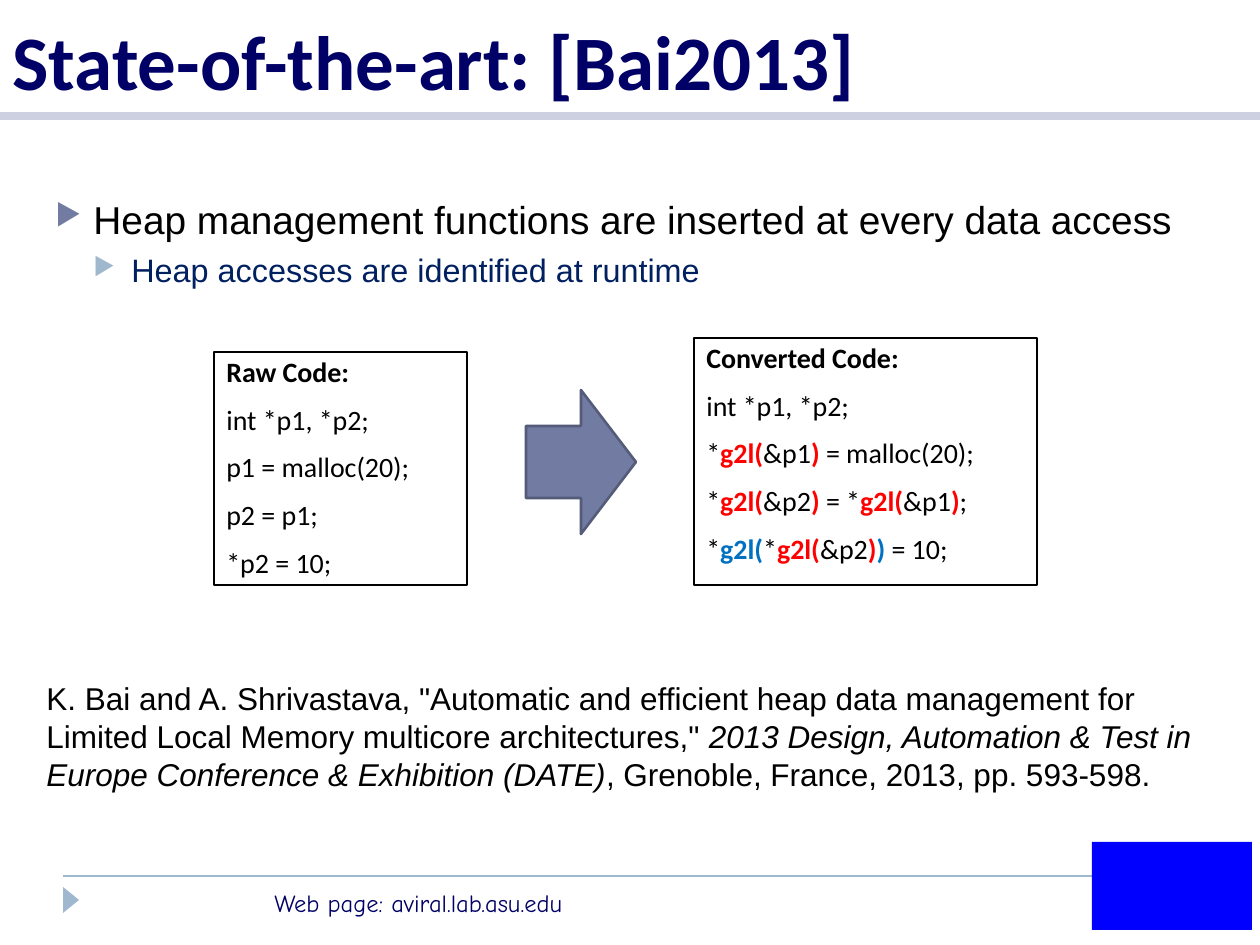
from dataclasses import dataclass

from lxml import etree
from pptx import Presentation
from pptx.dml.color import RGBColor
from pptx.enum.shapes import MSO_CONNECTOR, MSO_SHAPE
from pptx.enum.text import MSO_ANCHOR, MSO_AUTO_SIZE, PP_ALIGN
from pptx.oxml.ns import qn
from pptx.util import Pt

LINE = MSO_CONNECTOR.STRAIGHT
RECT = MSO_SHAPE.RECTANGLE
ARROW = MSO_SHAPE.RIGHT_ARROW
WEDGE = MSO_SHAPE.ISOSCELES_TRIANGLE
TOP = MSO_ANCHOR.TOP
BOTTOM = MSO_ANCHOR.BOTTOM
LEFT = PP_ALIGN.LEFT
FIXED = MSO_AUTO_SIZE.NONE

SCALE = 914400 / 126
BLACK, NAVY, RED, BLUE = "000000", "000066", "FF0000", "0070C0"
SLATE, MIST = "727CA3", "9FB8CD"
STEP = 38  # indent of one bullet level


@dataclass
class Box:
    x: int
    y: int
    w: int
    h: int


@dataclass
class Style:
    font: str
    size: float
    color: str = BLACK
    bold: bool = False


@dataclass
class Run:
    text: str
    color: str = ""
    bold: bool = False
    italic: bool = False


@dataclass
class Code:
    box: Box
    head: str
    lines: list[list[Run]]


@dataclass
class Point:
    text: str
    style: Style
    mark: str
    gap: int


def px(n: float) -> int:
    return round(n * SCALE)


def rgb(color: str) -> RGBColor:
    return RGBColor.from_string(color)


def area(box: Box) -> list[int]:
    return [px(n) for n in (box.x, box.y, box.w, box.h)]


def set_font(para, style: Style) -> None:
    font = para.font
    font.name, font.size, font.bold = style.font, Pt(style.size), style.bold
    font.color.rgb = rgb(style.color)


def add_runs(para, runs: list[Run]) -> None:
    for item in runs:
        run = para.add_run()
        run.text = item.text
        if item.color:
            run.font.color.rgb = rgb(item.color)
        if item.bold:
            run.font.bold = True
        if item.italic:
            run.font.italic = True


def next_para(frame, index: int):
    return frame.add_paragraph() if index else frame.paragraphs[0]


def add_line(slide, x1: int, y1: int, x2: int, color: str, width: float) -> None:
    line = slide.shapes.add_connector(LINE, px(x1), px(y1), px(x2), px(y1))
    line.line.color.rgb = rgb(color)
    line.line.width = Pt(width)
    etree.SubElement(line._element.spPr, qn("a:effectLst"))


def add_form(slide, kind, box: Box, fill: str = "", edge: str = "", width: float = 1):
    form = slide.shapes.add_shape(kind, *area(box))
    form.shadow.inherit = False
    if fill:
        form.fill.solid()
        form.fill.fore_color.rgb = rgb(fill)
    else:
        form.fill.background()
    if edge:
        form.line.color.rgb = rgb(edge)
        form.line.width = Pt(width)
    else:
        form.line.fill.background()
    return form


def add_text(slide, box: Box):
    frame = slide.shapes.add_textbox(*area(box)).text_frame
    frame.word_wrap = True
    return frame


def add_bullet(para, level: int, color: str) -> None:
    props = para._p.get_or_add_pPr()
    props.set("marL", str(px(STEP * (level + 1))))
    props.set("indent", str(-px(STEP)))
    tint = etree.SubElement(props, qn("a:buClr"))
    etree.SubElement(tint, qn("a:srgbClr"), val=color)
    etree.SubElement(props, qn("a:buSzPct"), val="76000")
    etree.SubElement(props, qn("a:buChar"), char="▶")


def add_points(slide, box: Box, points: list[Point]) -> None:
    frame = add_text(slide, box)
    for level, point in enumerate(points):
        para = next_para(frame, level)
        para.level = level
        add_bullet(para, level, point.mark)
        para.space_before = Pt(point.gap)
        set_font(para, point.style)
        add_runs(para, [Run(point.text)])


def add_code(slide, code: Code) -> None:
    frame = add_form(slide, RECT, code.box, edge=BLACK, width=0.75).text_frame
    frame.word_wrap = True
    frame.vertical_anchor = TOP
    for index, runs in enumerate([[Run(code.head)], *code.lines]):
        para = next_para(frame, index)
        para.alignment = LEFT
        para.line_spacing = 0.9
        para.space_before = Pt(10 if index else 0)
        set_font(para, Style("Calibri", 16, bold=index == 0))
        add_runs(para, runs)


def g2l(inner: list[Run], color: str = RED) -> list[Run]:
    return [Run("*"), Run("g2l(", color, True), *inner, Run(")", color, True)]


def main() -> None:
    deck = Presentation()
    deck.slide_width, deck.slide_height = px(1260), px(945)
    slide = deck.slides.add_slide(deck.slide_layouts[5])

    # Title and rule
    title = slide.shapes.title
    title.left, title.top, title.width, title.height = area(Box(0, 0, 1260, 112))
    frame = title.text_frame
    frame.text = "State-of-the-art: [Bai2013]"
    frame.vertical_anchor, frame.auto_size = BOTTOM, FIXED
    frame.paragraphs[0].alignment = LEFT
    set_font(frame.paragraphs[0], Style("Calibri", 44, NAVY, True))
    add_line(slide, 0, 116, 1260, "CCD0E0", 5)

    # Footer, with a plain block for the emblem
    add_line(slide, 63, 876, 1092, MIST, 1)
    add_form(slide, WEDGE, Box(58, 892, 26, 16), MIST).rotation = 90
    para = add_text(slide, Box(262, 882, 473, 43)).paragraphs[0]
    set_font(para, Style("Comic Neue", 14, NAVY))
    add_runs(para, [Run("Web page: aviral.lab.asu.edu")])
    add_form(slide, RECT, Box(1092, 842, 160, 88), "0000FF")

    # Bullets
    add_points(slide, Box(43, 189, 1166, 134), [
        Point("Heap management functions are inserted at every data access",
              Style("Arial", 22.2), SLATE, 0),
        Point("Heap accesses are identified at runtime",
              Style("Arial", 18.5, "002060"), MIST, 5),
    ])

    # Code before and after
    first = [Run("int *p1, *p2;")]
    p1, p2 = g2l([Run("&p1")]), g2l([Run("&p2")])
    raw = ["p1 = malloc(20);", "p2 = p1;", "*p2 = 10;"]
    add_code(slide, Code(Box(214, 352, 253, 233), "Raw Code:",
                         [first, *([Run(text)] for text in raw)]))
    add_code(slide, Code(Box(694, 338, 343, 247), "Converted Code:", [
        first,
        [*p1, Run(" = malloc(20);")],
        [*p2, Run(" = "), *p1, Run(";")],
        [*g2l(p2, BLUE), Run(" = 10;")],
    ]))
    add_form(slide, ARROW, Box(526, 390, 110, 144), SLATE, "545C79", 1.5)

    # Citation
    para = add_text(slide, Box(34, 673, 1203, 165)).paragraphs[0]
    set_font(para, Style("Arial", 18))
    add_runs(para, [
        Run('K. Bai and A. Shrivastava, "Automatic and efficient heap data management '
            'for Limited Local Memory multicore architectures," '),
        Run("2013 Design, Automation & Test in Europe Conference & Exhibition (DATE)",
            italic=True),
        Run(", Grenoble, France, 2013, pp. 593-598."),
    ])

    deck.save("out.pptx")


if __name__ == "__main__":
    main()
